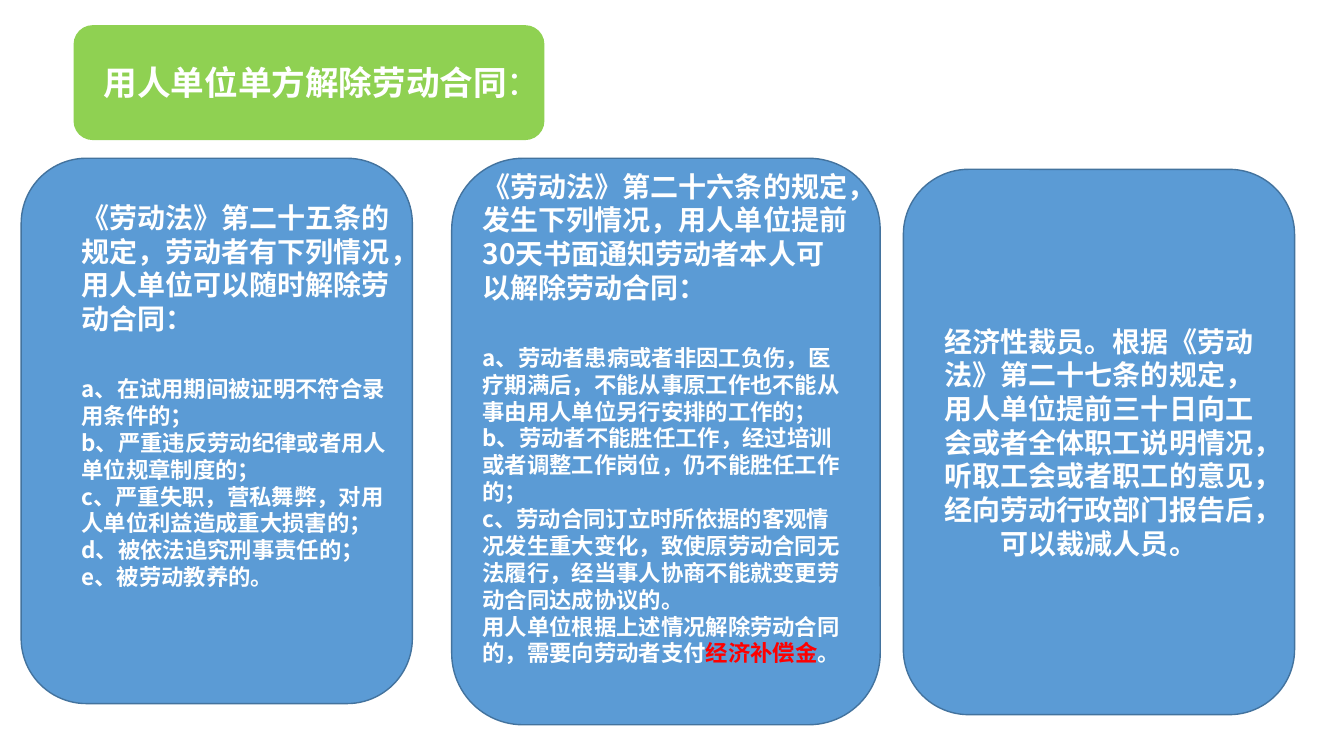
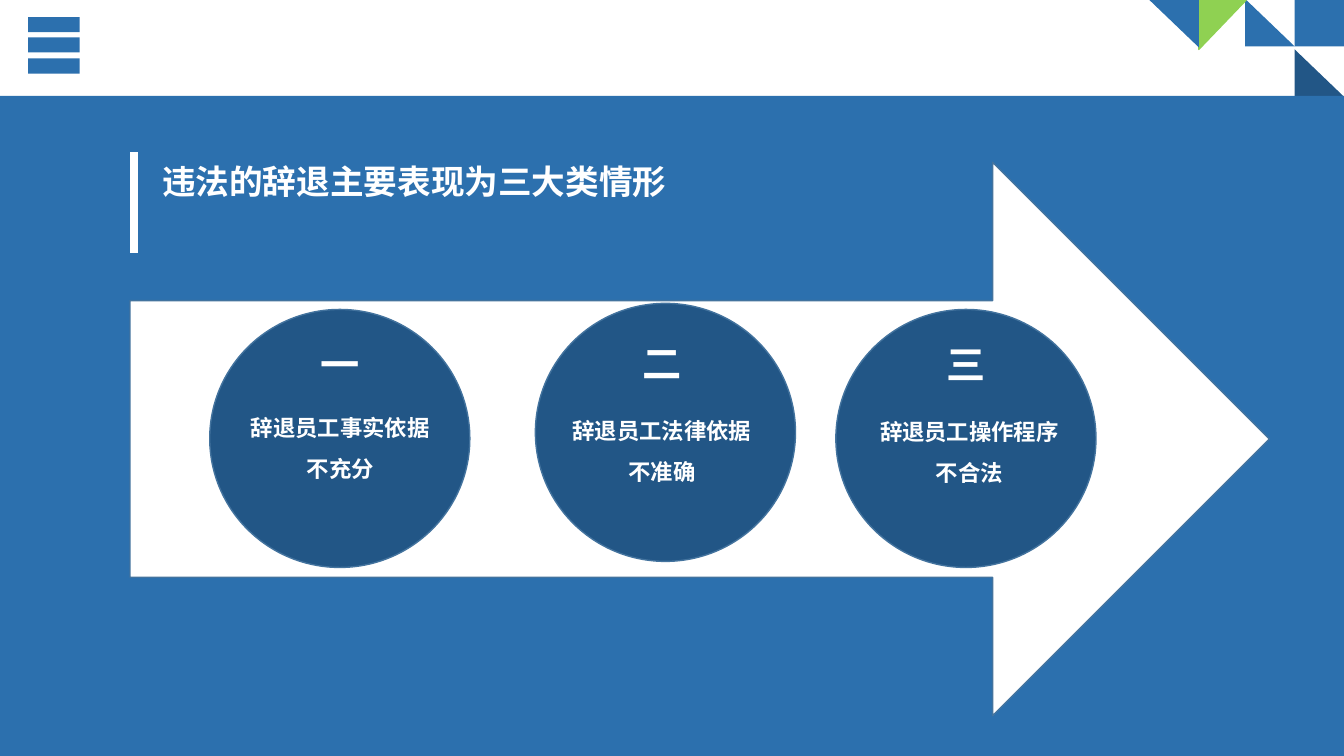
from dataclasses import dataclass, field

from lxml.etree import SubElement
from pptx import Presentation
from pptx.dml.color import RGBColor
from pptx.enum.shapes import MSO_CONNECTOR, MSO_SHAPE as Shape
from pptx.enum.text import MSO_ANCHOR as Anchor, PP_ALIGN as Align
from pptx.oxml.ns import qn
from pptx.util import Pt

# Shared look: 100 px to the inch
EMU_PER_PX = 9144
FONT, COLON_FONT = "Noto Sans CJK SC", "Noto Sans CJK JP"
WHITE, RED, GREEN = "FFFFFF", "FF0000", "8FD152"
BLUE, NAVY, CARD_BLUE, OUTLINE = "2C70AE", "225686", "5B9BD5", "43739E"
HEADING, LEAD, BODY, NUMERAL = 24, 20, 16, 28
BLANK_LINE = 28.8  # gap between lead and body, in points


@dataclass(frozen=True)
class Box:
    left: int
    top: int
    width: int
    height: int

    def emu(self) -> list[int]:
        return [px(n) for n in (self.left, self.top, self.width, self.height)]


@dataclass(frozen=True)
class Run:
    text: str
    color: str = ""
    font: str = ""
    bold: bool = True


@dataclass(frozen=True)
class Para:
    runs: list[Run]
    size: int = BODY
    align: Align = Align.LEFT
    spacing: float = 1.0
    after: float = 0


@dataclass(frozen=True)
class Card:
    box: Box
    paras: list[Para]
    text_box: Box | None = None  # None: the text sits in the card itself
    bottom_inset: int = 5


@dataclass(frozen=True)
class Case:
    numeral: str
    reason: str
    circle: Box
    numeral_box: Box
    reason_box: Box


@dataclass(frozen=True)
class Tile:
    kind: Shape
    box: Box
    color: str
    rotation: int = 0
    line: str = field(default="")


def px(n: int) -> int:
    return n * EMU_PER_PX


def rgb(color: str) -> RGBColor:
    return RGBColor.from_string(color)


def add_east_asian(properties, font: str) -> None:
    SubElement(properties, qn("a:ea")).set("typeface", font)


def draw_shape(slide, kind: Shape, box: Box, fill: str, line: str = "", rotation: int = 0):
    shape = slide.shapes.add_shape(kind, *box.emu())
    shape.shadow.inherit = False
    shape.rotation = rotation
    shape.fill.solid()
    shape.fill.fore_color.rgb = rgb(fill)
    if line:
        shape.line.color.rgb = rgb(line)
        shape.line.width = Pt(1)
    else:
        shape.line.fill.background()
    return shape


def write(frame, paras: list[Para], wrap: bool = True) -> None:
    frame.word_wrap = wrap
    for i, para in enumerate(paras):
        p = frame.add_paragraph() if i else frame.paragraphs[0]
        p.alignment = para.align
        p.line_spacing = para.spacing
        p.space_after = Pt(para.after)
        p.font.size = Pt(para.size)
        p.font.bold = True
        p.font.color.rgb = rgb(WHITE)
        p.font.name = FONT
        add_east_asian(p._p.pPr.find(qn("a:defRPr")), FONT)
        for part in para.runs:
            run = p.add_run()
            run.text = part.text
            if part.color:
                run.font.color.rgb = rgb(part.color)
            if not part.bold:
                run.font.bold = False
            if part.font:
                run.font.name = part.font
                add_east_asian(run._r.rPr, part.font)


def draw_text(slide, box: Box, paras: list[Para], wrap: bool = True) -> None:
    write(slide.shapes.add_textbox(*box.emu()).text_frame, paras, wrap)


def draw_line(slide, x: int, top: int, bottom: int, color: str, width: int) -> None:
    line = slide.shapes.add_connector(MSO_CONNECTOR.STRAIGHT, px(x), px(top), px(x), px(bottom))
    line.line.color.rgb = rgb(color)
    line.line.width = Pt(width)
    SubElement(line._element.spPr, qn("a:effectLst"))


def lead_and_items(lead: str, items: list[str]) -> list[Para]:
    return [Para([Run(lead)], LEAD, after=BLANK_LINE)] + [Para([Run(item)]) for item in items]


# Slide 1: dismissal by the employer
CARDS = [
    Card(
        Box(21, 157, 388, 541),
        lead_and_items(
            "《劳动法》第二十五条的规定，劳动者有下列情况，用人单位可以随时解除劳动合同：",
            [
                "a、在试用期间被证明不符合录用条件的；",
                "b、严重违反劳动纪律或者用人单位规章制度的；",
                "c、严重失职，营私舞弊，对用人单位利益造成重大损害的；",
                "d、被依法追究刑事责任的；",
                "e、被劳动教养的。",
            ],
        ),
        text_box=Box(71, 194, 339, 454),
    ),
    Card(
        Box(448, 157, 425, 562),
        lead_and_items(
            "《劳动法》第二十六条的规定，发生下列情况，用人单位提前30天书面通知劳动者本人可以解除劳动合同：",
            [
                "a、劳动者患病或者非因工负伤，医疗期满后，不能从事原工作也不能从事由用人单位另行安排的工作的；",
                "b、劳动者不能胜任工作，经过培训或者调整工作岗位，仍不能胜任工作的；",
                "c、劳动合同订立时所依据的客观情况发生重大变化，致使原劳动合同无法履行，经当事人协商不能就变更劳动合同达成协议的。",
            ],
        )
        + [
            Para([
                Run("用人单位根据上述情况解除劳动合同的，需要向劳动者支付"),
                Run("经济补偿金", RED),
                Run("。"),
            ])
        ],
        bottom_inset=52,
    ),
    Card(
        Box(896, 168, 388, 541),
        [
            Para(
                [Run("经济性裁员。根据《劳动法》第二十七条的规定，用人单位提前三十日向工会或者全体职工说明情况，"
                     "听取工会或者职工的意见，经向劳动行政部门报告后，可以裁减人员。")],
                LEAD,
                Align.CENTER,
            )
        ],
    ),
]


def build_dismissal(slide) -> None:
    draw_shape(slide, Shape.ROUNDED_RECTANGLE, Box(73, 25, 467, 114), GREEN)
    heading = [Run("用人单位单方解除劳动合同"), Run("：", font=COLON_FONT, bold=False)]
    draw_text(slide, Box(93, 57, 458, 50), [Para(heading, HEADING)], wrap=False)
    for card in CARDS:
        panel = draw_shape(slide, Shape.ROUNDED_RECTANGLE, card.box, CARD_BLUE, OUTLINE)
        if card.text_box:
            draw_text(slide, card.text_box, card.paras)
        else:
            panel.text_frame.vertical_anchor = Anchor.MIDDLE
            panel.text_frame.margin_bottom = px(card.bottom_inset)
            write(panel.text_frame, card.paras)


# Slide 2: three kinds of unlawful dismissal
CORNER_TILES = [
    Tile(Shape.RIGHT_TRIANGLE, Box(1284, 49, 49, 47), NAVY),
    Tile(Shape.RECTANGLE, Box(1284, 0, 49, 46), BLUE),
    Tile(Shape.RIGHT_TRIANGLE, Box(1235, -1, 49, 47), BLUE),
    Tile(Shape.RIGHT_TRIANGLE, Box(1188, 1, 49, 47), GREEN, 90, GREEN),
    Tile(Shape.RIGHT_TRIANGLE, Box(1140, 0, 49, 47), BLUE, 180),
]
MENU_BAR_TOPS = (17, 37, 58)
CASES = [
    Case("一", "辞退员工事实依据不充分", Box(208, 307, 258, 256),
         Box(308, 333, 59, 57), Box(236, 393, 203, 91)),
    Case("二", "辞退员工法律依据不准确", Box(531, 301, 258, 256),
         Box(627, 332, 59, 57), Box(550, 396, 213, 86)),
    Case("三", "辞退员工操作程序不合法", Box(829, 307, 258, 256),
         Box(929, 333, 59, 57), Box(855, 397, 213, 86)),
]


def build_unlawful_cases(slide) -> None:
    for tile in CORNER_TILES:
        draw_shape(slide, tile.kind, tile.box, tile.color, tile.line, tile.rotation)
    for top in MENU_BAR_TOPS:
        draw_shape(slide, Shape.RECTANGLE, Box(28, top, 51, 15), BLUE)
    draw_shape(slide, Shape.RECTANGLE, Box(0, 95, 1333, 655), BLUE)
    draw_shape(slide, Shape.RIGHT_ARROW, Box(129, 161, 1130, 549), WHITE, OUTLINE)

    draw_line(slide, 133, 151, 251, WHITE, 6)
    draw_text(slide, Box(151, 155, 635, 50), [Para([Run("违法的辞退主要表现为三大类情形")], HEADING)])
    for case in CASES:
        draw_shape(slide, Shape.OVAL, case.circle, NAVY, OUTLINE)
        draw_text(slide, case.numeral_box, [Para([Run(case.numeral)], NUMERAL)], wrap=False)
        reason = Para([Run(case.reason)], align=Align.CENTER, spacing=1.5)
        draw_text(slide, case.reason_box, [reason])


def main() -> None:
    deck = Presentation()
    deck.slide_width, deck.slide_height = px(1333), px(750)
    blank = deck.slide_layouts[6]
    for build in (build_dismissal, build_unlawful_cases):
        build(deck.slides.add_slide(blank))
    deck.save("out.pptx")


if __name__ == "__main__":
    main()
